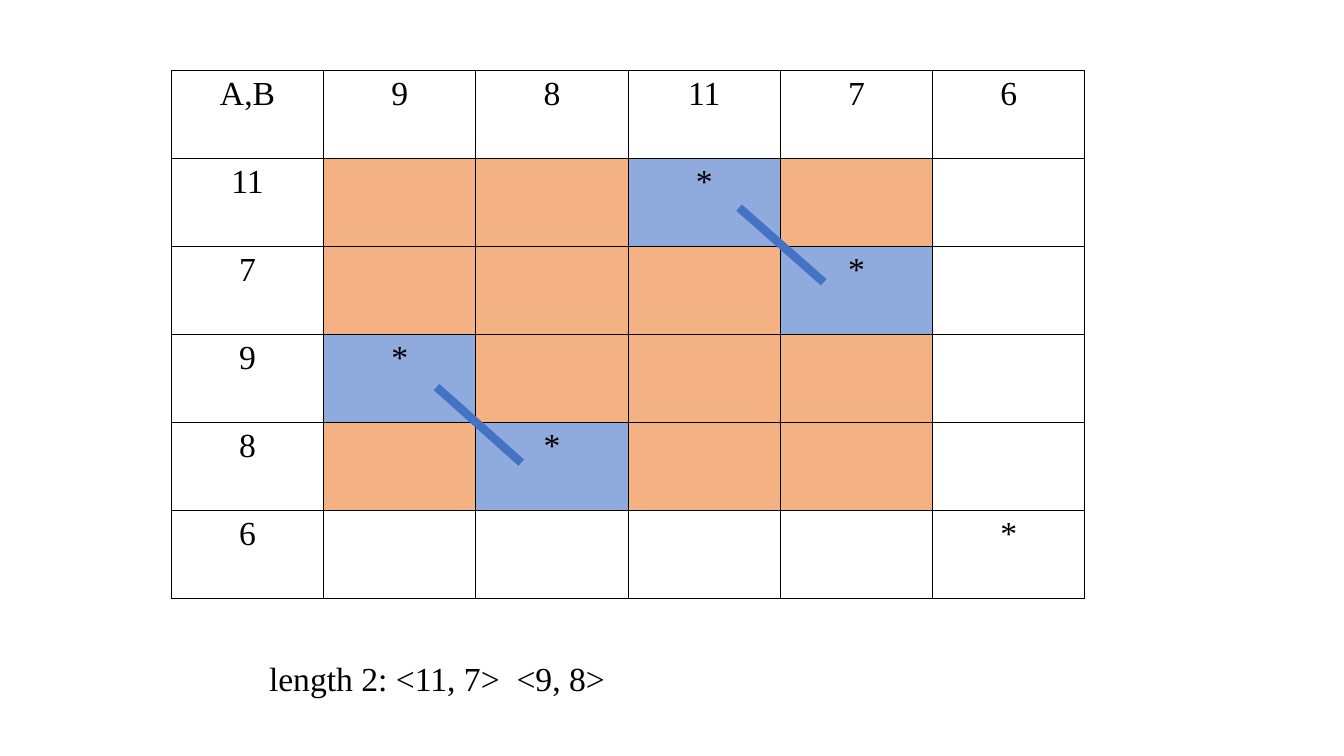
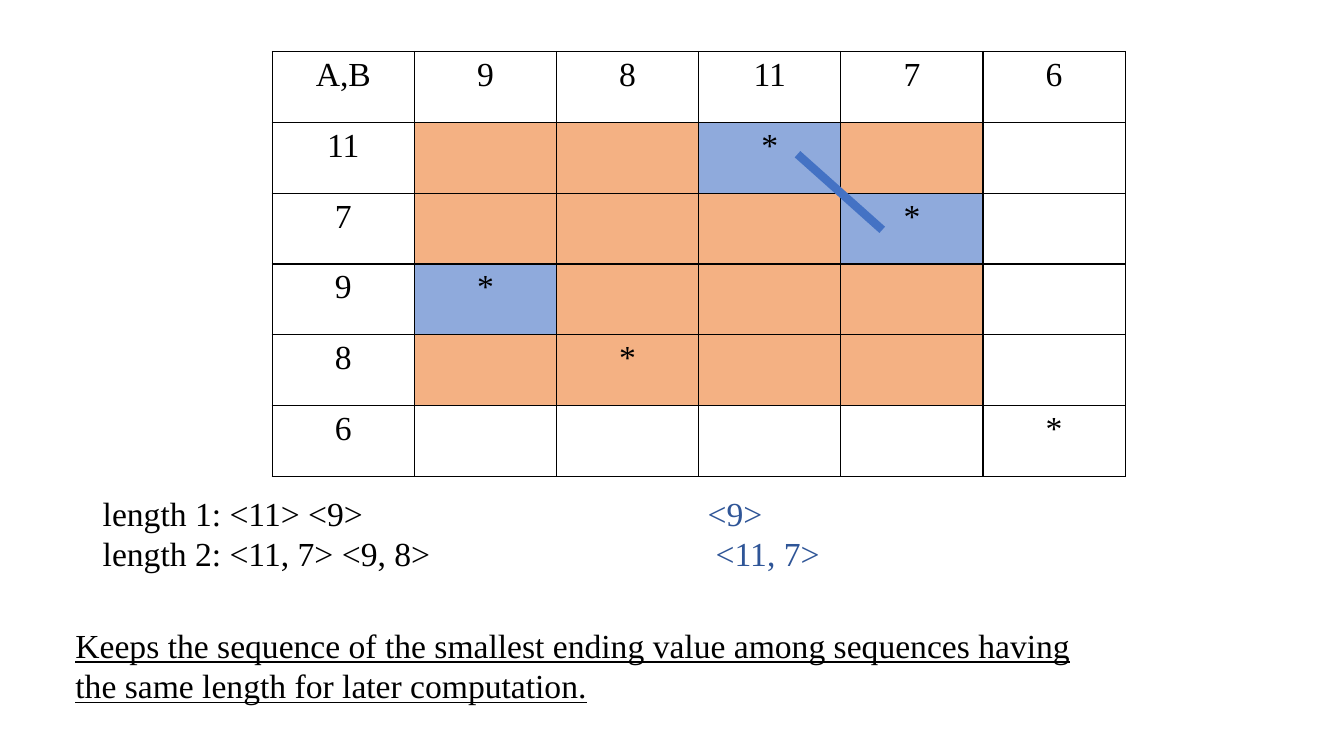
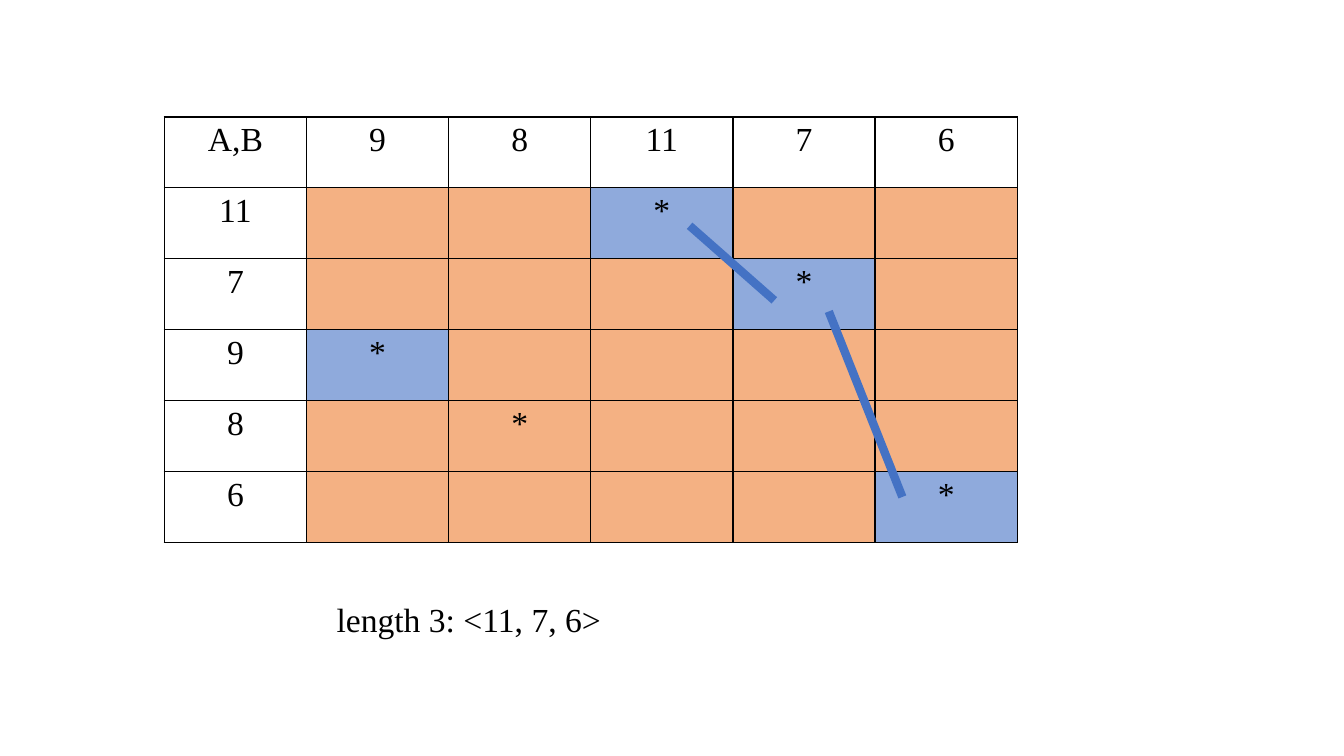
from dataclasses import dataclass

from lxml import etree
from pptx import Presentation
from pptx import util as u
from pptx.dml.color import RGBColor
from pptx.enum import shapes, text
from pptx.oxml import ns

SEQUENCE_A = [11, 7, 9, 8, 6]  # row headings
SEQUENCE_B = [9, 8, 11, 7, 6]  # column headings


@dataclass(frozen=True)
class Theme:
    font: str = "Times New Roman"
    size: int = 24
    ink: str = "000000"
    answer: str = "2F5597"
    visited: str = "F4B183"
    match: str = "8FAADC"
    link: str = "4472C4"
    link_width: int = 6
    border_width: int = 1


class Deck:
    """Holds the style, the presentation and the current slide."""

    def __init__(self, theme):
        self.theme = theme
        self.presentation = Presentation()
        self.presentation.slide_width = u.Inches(13.33)
        self.presentation.slide_height = u.Inches(7.5)
        self.slide = None

    def new_slide(self):
        blank = self.presentation.slide_layouts[6]
        self.slide = self.presentation.slides.add_slide(blank)

    def style(self, run, color=None, underline=None):
        run.font.name = self.theme.font
        run.font.size = u.Pt(self.theme.size)
        run.font.color.rgb = RGBColor.from_string(color or self.theme.ink)
        run.font.underline = underline

    def border(self, cell):
        properties = cell._tc.get_or_add_tcPr()
        for index, side in enumerate(("lnL", "lnR", "lnT", "lnB")):
            line = etree.Element(ns.qn(f"a:{side}"), w=str(u.Pt(self.theme.border_width)))
            fill = etree.SubElement(line, ns.qn("a:solidFill"))
            etree.SubElement(fill, ns.qn("a:srgbClr"), val=self.theme.ink)
            properties.insert(index, line)

    def cell(self, cell, label, fill):
        if fill:
            cell.fill.solid()
            cell.fill.fore_color.rgb = RGBColor.from_string(fill)
        else:
            cell.fill.background()
        self.border(cell)
        cell.text_frame.text = label
        paragraph = cell.text_frame.paragraphs[0]
        paragraph.alignment = text.PP_ALIGN.CENTER
        for run in paragraph.runs:
            self.style(run)

    def matching_grid(self, left, top, width, height, reached, matched):
        """Star equal values; tint the first `reached` rows and columns."""
        rows, columns = len(SEQUENCE_A) + 1, len(SEQUENCE_B) + 1
        table = self.slide.shapes.add_table(
            rows, columns, u.Inches(left), u.Inches(top),
            u.Inches(width), u.Inches(height)).table
        table.first_row = table.horz_banding = False

        # Headings
        self.cell(table.cell(0, 0), "A,B", None)
        for column, value in enumerate(SEQUENCE_B, 1):
            self.cell(table.cell(0, column), str(value), None)

        # Body
        for row, a in enumerate(SEQUENCE_A, 1):
            self.cell(table.cell(row, 0), str(a), None)
            for column, b in enumerate(SEQUENCE_B, 1):
                fill = self.theme.visited if max(row, column) <= reached else None
                if a == b and a in matched:
                    fill = self.theme.match
                self.cell(table.cell(row, column), "*" if a == b else "", fill)

    def link(self, x1, y1, x2, y2):
        connector = self.slide.shapes.add_connector(
            shapes.MSO_CONNECTOR.STRAIGHT,
            u.Inches(x1), u.Inches(y1), u.Inches(x2), u.Inches(y2))
        connector.line.color.rgb = RGBColor.from_string(self.theme.link)
        connector.line.width = u.Pt(self.theme.link_width)
        etree.SubElement(connector._element.spPr, ns.qn("a:effectLst"))

    def note(self, left, top, width, height, lines, underline=None):
        """Each line is a text, or a text and an answer set at a tab stop."""
        box = self.slide.shapes.add_textbox(
            u.Inches(left), u.Inches(top), u.Inches(width), u.Inches(height))
        frame = box.text_frame
        frame.word_wrap = True
        frame.auto_size = text.MSO_AUTO_SIZE.SHAPE_TO_FIT_TEXT
        for index, (label, *answer) in enumerate(lines):
            paragraph = frame.add_paragraph() if index else frame.paragraphs[0]
            paragraph.text = label
            self.style(paragraph.runs[0], underline=underline)
            if answer:
                value, stop = answer
                tabs = etree.SubElement(paragraph._p.get_or_add_pPr(), ns.qn("a:tabLst"))
                etree.SubElement(tabs, ns.qn("a:tab"), pos=str(u.Inches(stop)), algn="l")
                run = paragraph.add_run()
                run.text = "\t" + value
                self.style(run, self.theme.answer)


def main():
    deck = Deck(Theme())

    # Two sequences of length 2
    deck.new_slide()
    deck.matching_grid(1.7, 0.7, 9.06, 5.24, reached=4, matched={11, 7, 9, 8})
    deck.link(4.33, 3.84, 5.17, 4.59)
    deck.link(7.33, 2.06, 8.17, 2.8)
    deck.note(2.57, 6.48, 4.66, 0.5, [("length 2: <11, 7>  <9, 8>",)])

    # Smallest ending values
    deck.new_slide()
    deck.matching_grid(2.7, 0.51, 8.46, 4.22, reached=4, matched={11, 7, 9})
    deck.note(0.92, 4.84, 11.29, 1.31, [
        ("length 1: <11> <9>", "<9>", 6),
        ("length 2: <11, 7> <9, 8>", "<11, 7>", 6.08),
    ])
    deck.note(0.65, 6.15, 10.36, 1.31, [
        ("Keeps the sequence of the smallest ending value among sequences "
         "having the same length for later computation.",),
    ], underline=True)
    deck.link(7.91, 1.53, 8.75, 2.28)

    # Sequence of length 3
    deck.new_slide()
    deck.matching_grid(1.63, 1.16, 8.46, 4.22, reached=5, matched={11, 7, 9, 6})
    deck.note(3.24, 5.89, 4.44, 0.5, [("length 3: <11, 7, 6>",)])
    deck.link(6.84, 2.24, 7.68, 2.98)
    deck.link(8.22, 3.09, 8.95, 4.93)

    deck.presentation.save("out.pptx")


if __name__ == "__main__":
    main()
